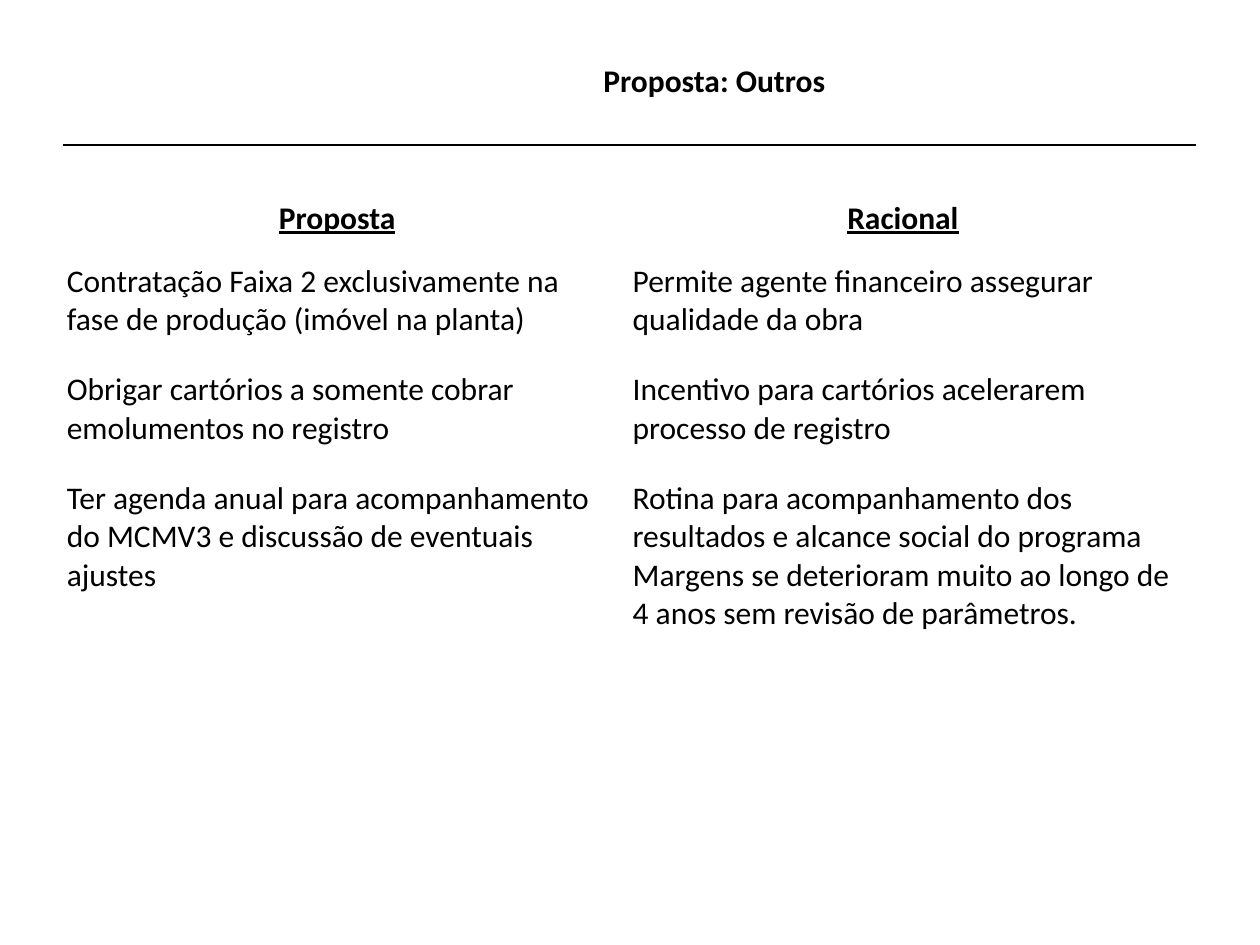
from pptx import Presentation
from pptx.dml.color import RGBColor
from pptx.enum.shapes import MSO_CONNECTOR as CONN
from pptx.enum.text import MSO_ANCHOR as ANCHOR, PP_ALIGN as ALIGN
from pptx.oxml.ns import qn
from pptx.util import Pt
from lxml.etree import SubElement

BLACK = "000000"
FONT = "Calibri"
ROWS = [
    (["Proposta"], ["Racional"]),
    (["Contratação Faixa 2 exclusivamente na fase de produção (imóvel na planta)"],
     ["Permite agente financeiro assegurar qualidade da obra"]),
    (["Obrigar cartórios a somente cobrar emolumentos no registro"],
     ["Incentivo para cartórios acelerarem processo de registro"]),
    (["Ter agenda anual para acompanhamento do MCMV3 e discussão de eventuais ajustes"],
     ["Rotina para acompanhamento dos resultados e alcance social do programa",
      "Margens se deterioram muito ao longo de 4 anos sem revisão de parâmetros."]),
]
ROW_HEIGHTS = [36, 62, 62, 142]


def color(value):
    """Turn a hex string into a colour."""
    return RGBColor.from_string(value)


def write(tf, lines, size=18, bold=False, underline=False, align=ALIGN.LEFT, fill=BLACK):
    """Write one formatted paragraph per line into a text frame."""
    for i, line in enumerate(lines):
        p = tf.paragraphs[0] if i == 0 else tf.add_paragraph()
        p.alignment = align
        p.space_before = Pt(0)
        r = p.add_run()
        r.text = line
        font = r.font
        font.name, font.size = FONT, Pt(size)
        font.bold, font.underline = bold, underline
        font.color.rgb = color(fill)


def add_title(s, text, x, y, w, h):
    """Place the title placeholder in the given box."""
    sp = s.shapes.title
    sp.left, sp.top, sp.width, sp.height = Pt(x), Pt(y), Pt(w), Pt(h)
    tf = sp.text_frame
    tf.word_wrap = True
    tf.vertical_anchor = ANCHOR.MIDDLE
    write(tf, [text], bold=True, align=ALIGN.CENTER)


def add_rule(s, x, y, w):
    """Draw the horizontal rule below the title."""
    rule = s.shapes.add_connector(CONN.STRAIGHT, Pt(x), Pt(y), Pt(x + w), Pt(y))
    rule.line.color.rgb = color(BLACK)
    rule.line.width = Pt(1.5)
    SubElement(rule._element.spPr, qn("a:effectLst"))


def add_proposals(s, rows, heights, x, y, w):
    """Place the table of proposals and their rationale."""
    count = len(rows[0])
    frame = s.shapes.add_table(len(rows), count, Pt(x), Pt(y), Pt(w), Pt(sum(heights)))
    table = frame.table
    table.first_row = table.horz_banding = False
    for column in table.columns:
        column.width = Pt(w / count)
    for i, (row, height) in enumerate(zip(rows, heights)):
        table.rows[i].height = Pt(height)
        header = i == 0
        for j, lines in enumerate(row):
            cell = table.cell(i, j)
            cell.fill.background()
            write(cell.text_frame, lines, bold=header, underline=header,
                  align=ALIGN.CENTER if header else ALIGN.LEFT)


def main():
    """Build and save the slide."""
    prs = Presentation()
    prs.slide_width, prs.slide_height = Pt(720), Pt(540)
    s = prs.slides.add_slide(prs.slide_layouts[5])
    add_rule(s, 36, 82.8, 647.3)
    add_title(s, "Proposta: Outros", 133.2, 31, 550.1, 29)
    add_proposals(s, ROWS, ROW_HEIGHTS, 31, 110.2, 646.6)
    prs.save("out.pptx")


if __name__ == "__main__":
    main()
